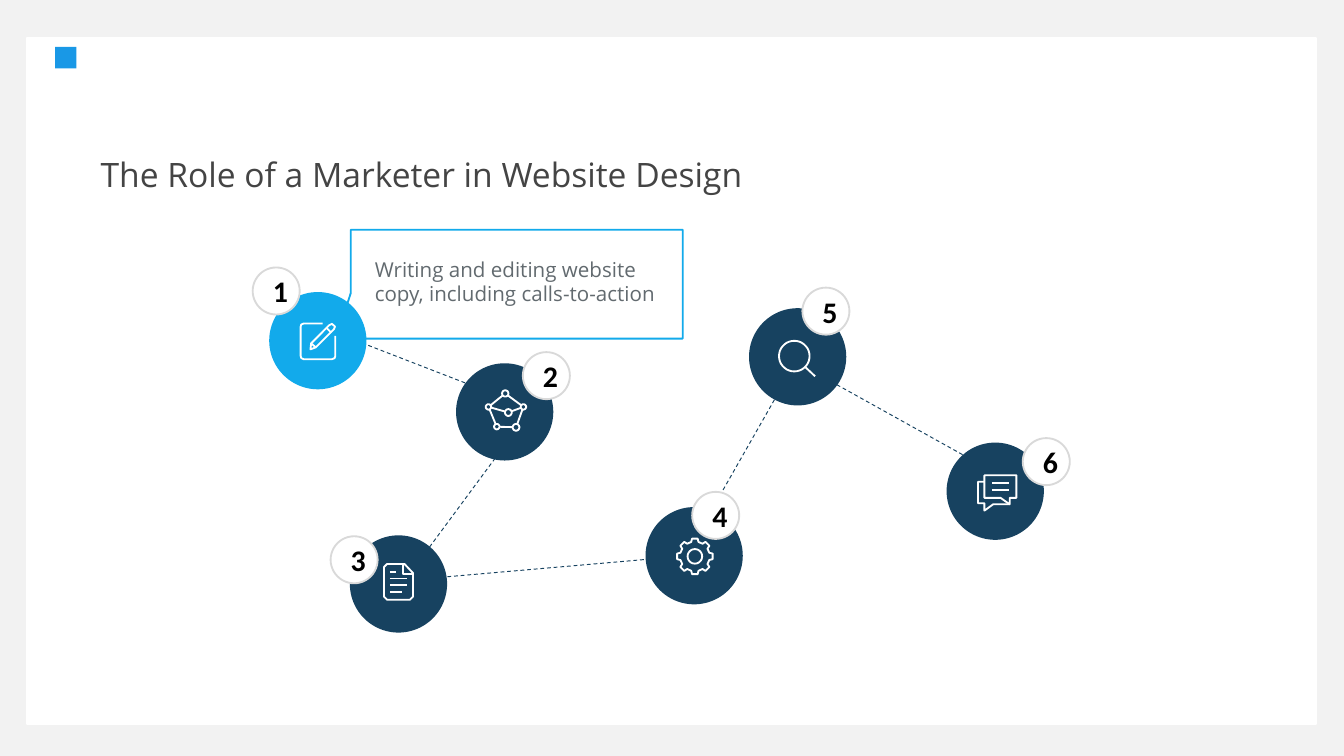
import math

import pptx
import pptx.util
import pptx.dml.color
import pptx.enum.dml
import pptx.enum.shapes
import pptx.enum.text
from lxml import etree

Inches, Pt = pptx.util.Inches, pptx.util.Pt
RGBColor = pptx.dml.color.RGBColor
SHAPE = pptx.enum.shapes.MSO_SHAPE
ALIGN = pptx.enum.text.PP_ALIGN

GREY = RGBColor(0xF2, 0xF2, 0xF2)
WHITE = RGBColor(0xFF, 0xFF, 0xFF)
BLACK = RGBColor(0, 0, 0)
NAVY = RGBColor(0x17, 0x42, 0x60)
SKY = RGBColor(0x12, 0xAA, 0xEB)
BRAND_BLUE = RGBColor(0x19, 0x98, 0xE6)
RING = RGBColor(0xD9, 0xD9, 0xD9)
TITLE_GREY = RGBColor(0x44, 0x44, 0x44)
BODY_GREY = RGBColor(0x62, 0x6A, 0x6F)

WIDTH = 10
HEIGHT = WIDTH * 9 / 16
DISC, BADGE = 0.71, 0.35  # diameters
ICON_UNITS = 1000  # drawing units per inch inside an icon


# Icon strokes, in hundredths of an inch
def ring(x, y, r, steps=36):
    return [(x + r * math.cos(math.tau * i / steps), y + r * math.sin(math.tau * i / steps))
            for i in range(steps + 1)]


def network():
    top, right, low_right, low_left, left, hub = nodes = [
        (15, 2.8, 2.3), (28.5, 12.8, 2), (23, 28, 2.5),
        (8.7, 27.5, 2), (2.5, 12.8, 2), (17.3, 17, 2.5)]
    pairs = [(top, right), (right, low_right), (low_right, low_left),
             (low_left, left), (left, top), (left, hub), (hub, right)]
    strokes = [ring(*node) for node in nodes]
    for (ax, ay, ar), (bx, by, br) in pairs:
        length = math.hypot(bx - ax, by - ay)
        ux, uy = (bx - ax) / length, (by - ay) / length
        strokes.append([(ax + ux * ar, ay + uy * ar), (bx - ux * br, by - uy * br)])
    return strokes


def gear():
    rim = []
    for tooth in range(8):
        for offset, radius in [(-9, 13.4), (9, 13.4), (14, 11), (31, 11)]:
            angle = math.radians(45 * tooth + offset)
            rim.append((14 + radius * math.cos(angle), 14 + radius * math.sin(angle)))
    return [rim + rim[:1], ring(14, 14, 5.4)]


PENCIL = [
    [(17, 0.7), (3, 0.7), (1.2, 1.5), (0.7, 3), (0.7, 25), (1.2, 26.5), (3, 27.3),
     (24, 27.3), (26, 26.5), (26.5, 25), (26.5, 10)],
    [(8, 20), (8.5, 15.5), (22, 2), (24, 1), (26.3, 3), (25.5, 5), (12, 18.5), (8, 20)],
    [(20, 4), (23.5, 7.5)], [(8.5, 15.5), (12, 18.5)]]
DOCUMENT = [
    [(16, 0.7), (3, 0.7), (0.7, 3), (0.7, 25), (3, 27.3), (20, 27.3), (22.3, 25),
     (22.3, 7.5), (16, 0.7)],
    [(15, 0.7), (15, 8), (22.3, 8)],
    [(5, 6.5), (9.5, 6.5)], [(5, 11.5), (18, 11.5)],
    [(5, 16.5), (18, 16.5)], [(5, 21.5), (14, 21.5)]]
MAGNIFIER = [ring(12, 12, 11.4), [(20.3, 20.3), (27.5, 27)]]
CHAT = [
    [(5.5, 0.7), (29.3, 0.7), (29.3, 17.5), (24.3, 17.5), (24.3, 22.3), (17.5, 17.5),
     (5.5, 17.5), (5.5, 0.7)],
    [(5.5, 5.5), (0.7, 5.5), (0.7, 21.5), (5.5, 21.5), (5.5, 27), (12, 22.3), (24.3, 22.3)],
    [(11, 6.5), (23.5, 6.5)], [(11, 11.5), (23.5, 11.5)]]

# Content
TITLE = "The Role of a Marketer in Website Design"
CALLOUT = "Writing and editing website copy, including calls-to-action"
STEPS = [  # disc corner, badge corner, icon corner, icon strokes, colour
    ((2.01, 2.18), (1.88, 1.99), (2.23, 2.4), PENCIL, SKY),
    ((3.4, 2.71), (3.89, 2.62), (3.61, 2.9), network(), NAVY),
    ((2.61, 3.99), (2.46, 3.99), (2.85, 4.19), DOCUMENT, NAVY),
    ((4.81, 3.78), (5.15, 3.66), (5.03, 4), gear(), NAVY),
    ((5.58, 2.3), (5.97, 2.14), (5.79, 2.53), MAGNIFIER, NAVY),
    ((7.05, 3.3), (7.61, 3.26), (7.27, 3.53), CHAT, NAVY)]
ROUTE = [
    ((2.74, 2.57), (3.67, 2.93)), ((2.96, 4.39), (3.78, 3.28)),
    ((3.23, 4.3), (5.18, 4.13)), ((5.11, 4.12), (5.89, 2.75)),
    ((5.88, 2.67), (7.3, 3.46))]

deck = pptx.Presentation()
deck.slide_width, deck.slide_height = Inches(WIDTH), Inches(HEIGHT)
slide = deck.slides.add_slide(deck.slide_layouts[6])
slide.background.fill.solid()
slide.background.fill.fore_color.rgb = GREY


def paint(part, fill=None, line=None):
    part.shadow.inherit = False
    if fill is None:
        part.fill.background()
    else:
        part.fill.solid()
        part.fill.fore_color.rgb = fill
    if line is None:
        part.line.fill.background()
    else:
        part.line.color.rgb = line
        part.line.width = Pt(1)
    return part


def add_preset(preset, left, top, width, height, fill=None, line=None):
    box = map(Inches, (left, top, width, height))
    return paint(slide.shapes.add_shape(preset, *box), fill, line)


def write(holder, text, size, color, font="Open Sans", bold=False, align=ALIGN.LEFT, spacing=None):
    holder.text_frame.word_wrap = True
    paragraph = holder.text_frame.paragraphs[0]
    paragraph.text = text
    paragraph.alignment = align
    paragraph.line_spacing = spacing
    paragraph.font.name, paragraph.font.size = font, Pt(size)
    paragraph.font.bold, paragraph.font.color.rgb = bold, color


def add_icon(corner, strokes):
    drawn = [[(round(x * ICON_UNITS / 100), round(y * ICON_UNITS / 100)) for x, y in stroke]
             for stroke in strokes]
    builder = slide.shapes.build_freeform(*drawn[0][0], scale=Inches(1) / ICON_UNITS)
    for index, (start, *rest) in enumerate(drawn):
        if index:
            builder.move_to(*start)
        builder.add_line_segments(rest, close=False)
    paint(builder.convert_to_shape(*map(Inches, corner)), line=WHITE)


# White page and brand mark
add_preset(SHAPE.RECTANGLE, 0.2, 0.28, 9.59, 5.11, WHITE, WHITE)
add_preset(SHAPE.RECTANGLE, 0.41, 0.35, 0.16, 0.16, BRAND_BLUE)

# Dashed route
for start, end in ROUTE:
    leg = slide.shapes.add_connector(
        pptx.enum.shapes.MSO_CONNECTOR.STRAIGHT, *map(Inches, start + end))
    leg.line.color.rgb, leg.line.width = NAVY, Pt(0.5)
    leg.line.dash_style = pptx.enum.dml.MSO_LINE.DASH
    etree.SubElement(leg._element.spPr, pptx.oxml.ns.qn("a:effectLst"))

# Numbered steps
for number, (disc, badge, icon, strokes, color) in enumerate(STEPS, 1):
    add_preset(SHAPE.OVAL, *disc, DISC, DISC, color, color)
    add_icon(icon, strokes)
    label = add_preset(SHAPE.OVAL, *badge, BADGE, BADGE, WHITE, RING)
    write(label, str(number), 16, BLACK, font="Calibri", bold=True, align=ALIGN.CENTER)

# Title
title = slide.shapes.add_textbox(*map(Inches, (0.65, 1.13, 5.48, 0.38)))
write(title, TITLE, 18, TITLE_GREY, spacing=0.9)

# Callout of the first step
bubble = add_preset(SHAPE.RECTANGULAR_CALLOUT, 2.61, 1.71, 2.47, 0.81, line=SKY)
bubble.adjustments[0], bubble.adjustments[1] = -0.54, 0.46
callout = slide.shapes.add_textbox(*map(Inches, (2.69, 1.86, 2.38, 0.47)))
write(callout, CALLOUT, 11, BODY_GREY)
callout.text_frame.auto_size = pptx.enum.text.MSO_AUTO_SIZE.SHAPE_TO_FIT_TEXT

deck.save("out.pptx")
